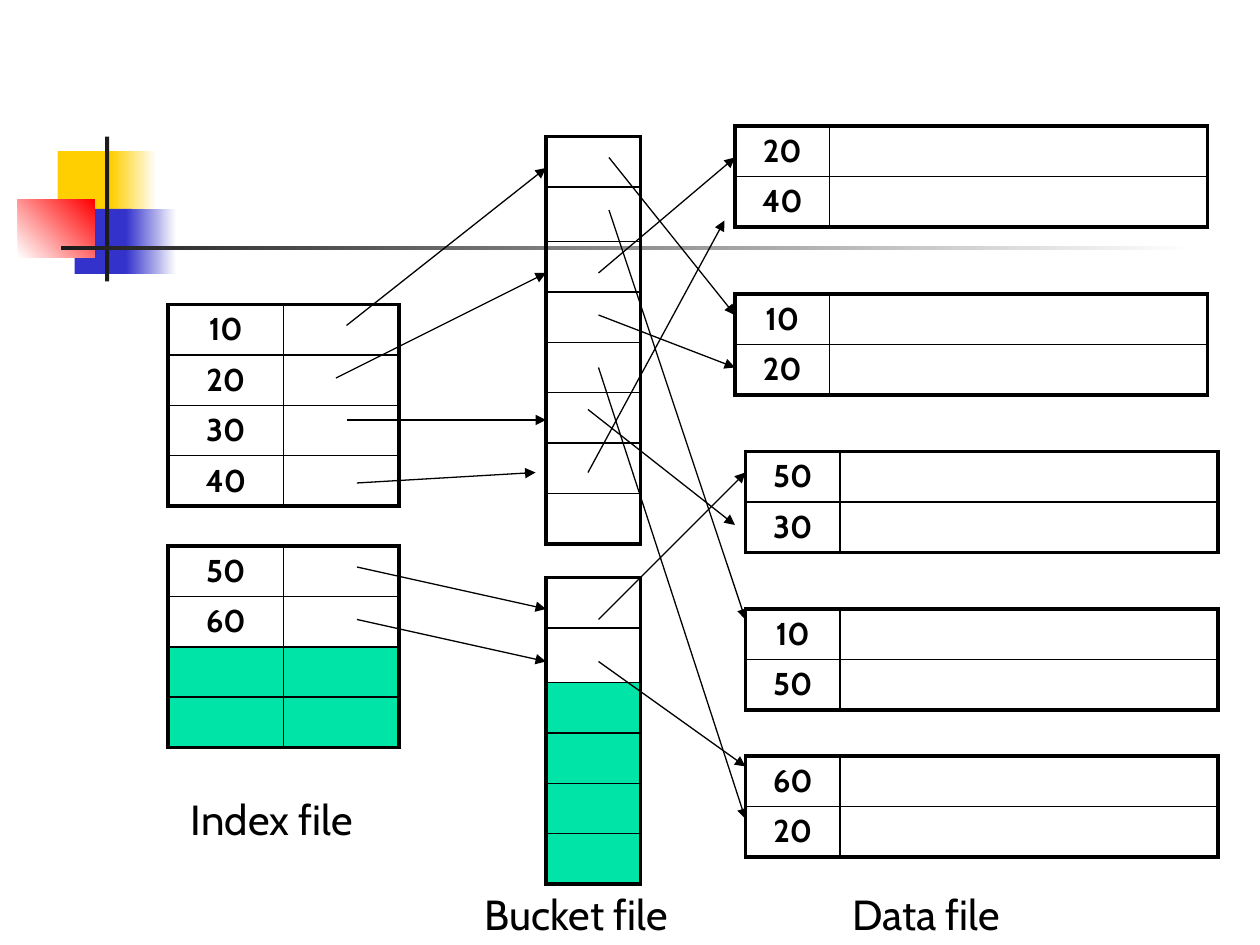
from dataclasses import dataclass

from lxml.etree import SubElement
from pptx import Presentation
from pptx.dml.color import RGBColor
from pptx.enum.shapes import MSO_CONNECTOR as Connector, MSO_SHAPE as Shape
from pptx.enum.text import MSO_ANCHOR as Anchor, MSO_AUTO_SIZE as AutoSize, PP_ALIGN as Align
from pptx.oxml.ns import qn
from pptx.util import Pt

EMU_PER_PX = 7620  # 120 px to the inch
ROW = 48
TALL_ROW = 52


@dataclass(frozen=True)
class Theme:
    font: str = "Cabin"
    ink: str = "000000"
    bar: str = "1C1C1C"
    paper: str = "FFFFFF"
    yellow: str = "FFCF01"
    blue: str = "3333CC"
    red: str = "FF0000"
    free: str = "00E4A8"
    label_size: int = 24
    key_size: int = 18
    thick: float = 2.25
    thin: float = 1
    arrow: float = 0.75


def px(length):
    return int(length * EMU_PER_PX)


def write_text(frame, text, *, font, size, color, bold=False, align=Align.LEFT):
    para = frame.paragraphs[0]
    para.alignment = align
    span = para.add_run()
    span.text = text
    span.font.name = font
    span.font.size = Pt(size)
    span.font.bold = bold
    span.font.color.rgb = RGBColor.from_string(color)


class SlideBuilder:
    def __init__(self, page, theme):
        self.page = page
        self.theme = theme

    def block(self, x, y, width, height, start, end=None, angle=0):
        """Borderless rectangle, plain or fading from start to end."""
        box = self.page.shapes.add_shape(Shape.RECTANGLE, px(x), px(y), px(width), px(height))
        box.shadow.inherit = False
        box.line.fill.background()
        if end is None:
            box.fill.solid()
            box.fill.fore_color.rgb = RGBColor.from_string(start)
            return
        box.fill.gradient()
        box.fill.gradient_angle = angle
        for stop, color in zip(box.fill.gradient_stops, (start, end)):
            stop.color.rgb = RGBColor.from_string(color)

    def border(self, cell, side, width):
        line = SubElement(cell._tc.get_or_add_tcPr(), qn(f"a:ln{side}"), w=str(Pt(width)))
        fill = SubElement(line, qn("a:solidFill"))
        SubElement(fill, qn("a:srgbClr"), val=self.theme.ink)

    def table(self, x, y, widths, heights, keys=(), free_from=None):
        """Ruled block with keys in its first column; rows from free_from on are unused."""
        theme = self.theme
        grid = self.page.shapes.add_table(
            len(heights), len(widths), px(x), px(y), px(sum(widths)), px(sum(heights))
        ).table
        grid.first_row = grid.horz_banding = False
        for column, width in zip(grid.columns, widths):
            column.width = px(width)
        for row, height in zip(grid.rows, heights):
            row.height = px(height)

        last_row, last_column = len(heights) - 1, len(widths) - 1
        for r in range(len(heights)):
            for c in range(len(widths)):
                cell = grid.cell(r, c)
                cell.margin_top = cell.margin_bottom = 0
                cell.vertical_anchor = Anchor.MIDDLE
                outer_edges = {"L": c == 0, "R": c == last_column, "T": r == 0, "B": r == last_row}
                for side, outer in outer_edges.items():
                    self.border(cell, side, theme.thick if outer else theme.thin)
                if free_from is not None and r >= free_from:
                    cell.fill.solid()
                    cell.fill.fore_color.rgb = RGBColor.from_string(theme.free)
                else:
                    cell.fill.background()
        for r, key in enumerate(keys):
            write_text(grid.cell(r, 0).text_frame, key, font=theme.font, size=theme.key_size,
                       color=theme.ink, bold=True, align=Align.CENTER)

    def arrow(self, x1, y1, x2, y2):
        link = self.page.shapes.add_connector(Connector.STRAIGHT, px(x1), px(y1), px(x2), px(y2))
        link.line.width = Pt(self.theme.arrow)
        link.line.color.rgb = RGBColor.from_string(self.theme.ink)
        SubElement(link.line._get_or_add_ln(), qn("a:tailEnd"), type="triangle")
        SubElement(link._element.spPr, qn("a:effectLst"))

    def label(self, x, y, width, height, text):
        box = self.page.shapes.add_textbox(px(x), px(y), px(width), px(height))
        box.text_frame.word_wrap = True
        box.text_frame.auto_size = AutoSize.SHAPE_TO_FIT_TEXT
        write_text(box.text_frame, text, font=self.theme.font, size=self.theme.label_size,
                   color=self.theme.ink)


def draw_ornament(builder):
    theme = builder.theme
    builder.block(55, 144, 58, 62, theme.yellow)
    builder.block(106, 144, 43, 62, theme.yellow, theme.paper)
    builder.block(71, 199, 55, 62, theme.blue)
    builder.block(120, 199, 48, 62, theme.blue, theme.paper)
    builder.block(17, 190, 73, 55, theme.paper, theme.red, angle=45)
    builder.block(100, 130, 4, 138, theme.bar)
    builder.block(58, 234, 1080, 4, theme.bar, theme.paper)


def draw_files(builder):
    index_columns, bucket_columns, data_columns = [110, 110], [90], [90, 360]
    builder.table(160, 290, index_columns, [ROW] * 4, ["10", "20", "30", "40"])
    builder.table(160, 520, index_columns, [ROW] * 4, ["50", "60"], free_from=2)
    builder.table(520, 130, bucket_columns, [ROW, TALL_ROW] + [ROW] * 6)
    builder.table(520, 550, bucket_columns, [ROW, TALL_ROW] + [ROW] * 4, free_from=2)
    data_blocks = [
        (700, 120, ["20", "40"]),
        (700, 280, ["10", "20"]),
        (710, 430, ["50", "30"]),
        (710, 580, ["10", "50"]),
        (710, 720, ["60", "20"]),
    ]
    for x, y, keys in data_blocks:
        builder.table(x, y, data_columns, [ROW] * 2, keys)


def draw_pointers(builder):
    index_to_bucket = [
        (330, 310, 520, 160),
        (320, 360, 520, 260),
        (330, 400, 520, 400),
        (340, 460, 510, 450),
        (340, 540, 520, 580),
        (340, 590, 520, 630),
    ]
    bucket_to_data = [
        (580, 150, 700, 300),
        (580, 200, 710, 590),
        (570, 260, 700, 150),
        (570, 300, 700, 350),
        (570, 350, 710, 780),
        (560, 390, 700, 500),
        (560, 450, 690, 210),
        (570, 590, 710, 450),
        (570, 630, 710, 730),
    ]
    for ends in index_to_bucket + bucket_to_data:
        builder.arrow(*ends)


def main():
    deck = Presentation()
    deck.slide_width, deck.slide_height = px(1200), px(900)
    blank_layout = deck.slide_layouts[6]
    builder = SlideBuilder(deck.slides.add_slide(blank_layout), Theme())
    draw_ornament(builder)
    draw_files(builder)
    draw_pointers(builder)
    builder.label(170, 750, 210, 60, "Index file")
    builder.label(800, 840, 300, 60, "Data file")
    builder.label(450, 840, 210, 60, "Bucket file")
    deck.save("out.pptx")


if __name__ == "__main__":
    main()
